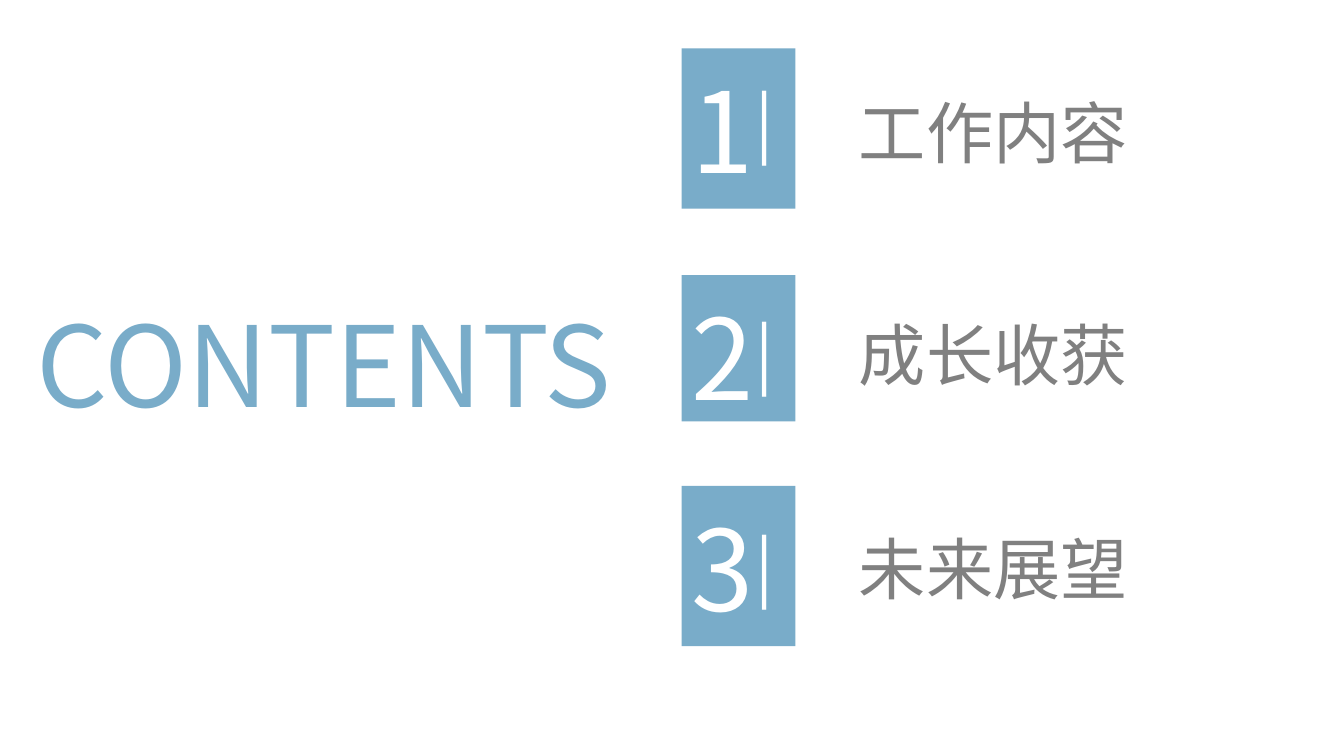
"""Build a contents slide with three numbered sections."""
from dataclasses import dataclass

from lxml import etree
from pptx import Presentation
from pptx.dml.color import RGBColor
from pptx.enum.shapes import MSO_SHAPE
from pptx.enum.text import MSO_ANCHOR, PP_ALIGN
from pptx.oxml.ns import qn
from pptx.util import Inches, Pt

RECTANGLE = MSO_SHAPE.RECTANGLE
TOP, MIDDLE = MSO_ANCHOR.TOP, MSO_ANCHOR.MIDDLE
LEFT, CENTER = PP_ALIGN.LEFT, PP_ALIGN.CENTER


@dataclass(frozen=True)
class Theme:
    font: str = "Noto Sans CJK SC"
    blue: RGBColor = RGBColor(0x79, 0xAC, 0xC9)
    gray: RGBColor = RGBColor(0x80, 0x80, 0x80)
    white: RGBColor = RGBColor(0xFF, 0xFF, 0xFF)
    display: int = 80
    heading: int = 48
    heading_leading: int = 23
    leading_ratio: float = 1.32


THEME = Theme()

SECTIONS = [
    ("1", "工作内容", 0.48, 1.59, 0.72, 1.3),
    ("2", "成长收获", 2.73, 1.45, 3.01, 3.5),
    ("3", "未来展望", 4.82, 1.59, 5.12, 5.62),
]


def write(shape, text, size, color, leading=None, align=LEFT, anchor=TOP):
    frame = shape.text_frame
    frame.text = text
    frame.word_wrap = True
    frame.vertical_anchor = anchor
    frame.margin_top = frame.margin_bottom = 0
    paragraph = frame.paragraphs[0]
    paragraph.alignment = align
    paragraph.line_spacing = Pt(leading or size * THEME.leading_ratio)
    font = paragraph.runs[0].font
    font.size = Pt(size)
    font.color.rgb = color
    font.name = THEME.font
    east_asian = etree.SubElement(font._element, qn("a:ea"))
    east_asian.set("typeface", THEME.font)
    return paragraph


def add_label(slide, box, *style, **options):
    label = slide.shapes.add_textbox(*map(Inches, box))
    return write(label, *style, **options)


def add_number_tile(slide, number, top, height):
    tile = slide.shapes.add_shape(
        RECTANGLE, *map(Inches, (6.76, top, 1.13, height)))
    tile.shadow.inherit = False
    tile.fill.solid()
    tile.fill.fore_color.rgb = THEME.blue
    tile.line.fill.background()
    write(tile, number, THEME.display, THEME.white)


def add_divider(slide, top):
    divider = add_label(slide, (6.9, top, 1.96, 1), "|",
                        THEME.heading, THEME.white)
    divider.level = 1
    properties = divider._p.get_or_add_pPr()
    properties.set("marL", str(Inches(0.5)))
    properties.set("indent", "0")


def add_section(slide, number, title, tile_top, tile_height, divider_top, title_top):
    add_number_tile(slide, number, tile_top, tile_height)
    add_divider(slide, divider_top)
    add_label(slide, (8.42, title_top, 4.71, 0.5), title, THEME.heading,
              THEME.gray, leading=THEME.heading_leading, anchor=MIDDLE)


def main():
    deck = Presentation()
    deck.slide_width, deck.slide_height = Inches(13.33), Inches(7.5)
    slide = deck.slides.add_slide(deck.slide_layouts[6])
    add_label(slide, (0, 2.8, 6.43, 1.59), "CONTENTS",
              THEME.display, THEME.blue, align=CENTER)
    for section in SECTIONS:
        add_section(slide, *section)
    deck.save("out.pptx")


main()
